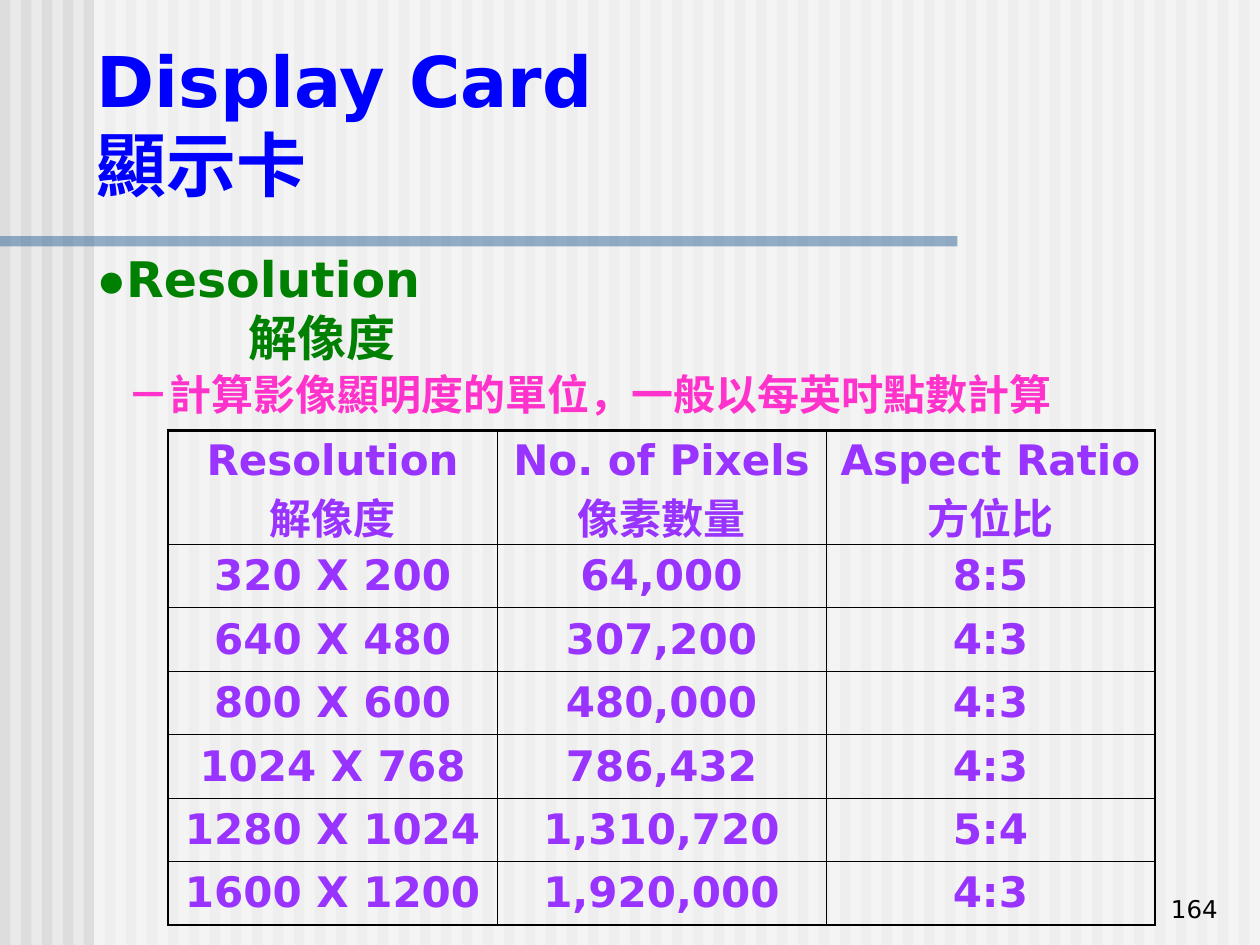
import lxml.etree
import pptx
import pptx.dml.color
import pptx.enum.shapes
import pptx.enum.text
import pptx.oxml.ns
import pptx.util

Cm = pptx.util.Cm
Pt = pptx.util.Pt
ALIGN = pptx.enum.text.PP_ALIGN
ANCHOR = pptx.enum.text.MSO_ANCHOR
qn = pptx.oxml.ns.qn

FONT = "DejaVu Sans"
WIDTH, HEIGHT = 25.4, 19.05
STRIPES = 60
THICK, THIN = 1.47, 0.45

ROWS = [
    ("Resolution\n解像度", "No. of Pixels\n像素數量", "Aspect Ratio\n方位比"),
    ("320 X 200", "64,000", "8:5"),
    ("640 X 480", "307,200", "4:3"),
    ("800 X 600", "480,000", "4:3"),
    ("1024 X 768", "786,432", "4:3"),
    ("1280 X 1024", "1,310,720", "5:4"),
    ("1600 X 1200", "1,920,000", "4:3"),
]


def rgb(value):
    return pptx.dml.color.RGBColor.from_string(value)


def add_bar(s, x, y, w, h, color, alpha=None):
    """Borderless rectangle, alpha in percent."""
    sp = s.shapes.add_shape(pptx.enum.shapes.MSO_SHAPE.RECTANGLE,
                            Cm(x), Cm(y), Cm(w), Cm(h))
    sp.shadow.inherit = False
    sp.line.fill.background()
    sp.fill.solid()
    sp.fill.fore_color.rgb = rgb(color)
    if alpha is not None:
        clr = sp.fill._xPr.find(".//" + qn("a:srgbClr"))
        lxml.etree.SubElement(clr, qn("a:alpha"), val=str(alpha * 1000))


def add_run(p, text, size, color, bold=True, font=FONT):
    """Styled text; a newline becomes a line break."""
    for i, line in enumerate(text.split("\n")):
        if i:
            p.add_line_break()
        r = p.add_run()
        r.text = line
        r.font.name = font
        r.font.size = Pt(size)
        r.font.bold = bold
        r.font.color.rgb = rgb(color)


def add_text_box(s, x, y, w, h, anchor=ANCHOR.TOP):
    tf = s.shapes.add_textbox(Cm(x), Cm(y), Cm(w), Cm(h)).text_frame
    tf.word_wrap = True
    tf.vertical_anchor = anchor
    return tf


def set_border(cell, side, width):
    tc_pr = cell._tc.get_or_add_tcPr()
    ln = lxml.etree.SubElement(tc_pr, qn("a:ln" + side), w=str(Pt(width)))
    fill = lxml.etree.SubElement(ln, qn("a:solidFill"))
    lxml.etree.SubElement(fill, qn("a:srgbClr"), val="000000")


def add_table(s, x, y, col_width, header_height, row_height):
    n_rows, n_cols = len(ROWS), len(ROWS[0])
    height = header_height + row_height * (n_rows - 1)
    table = s.shapes.add_table(n_rows, n_cols, Cm(x), Cm(y),
                               Cm(col_width * n_cols), Cm(height)).table
    table.first_row = table.horz_banding = False
    for col in table.columns:
        col.width = Cm(col_width)
    for i, values in enumerate(ROWS):
        table.rows[i].height = Cm(row_height if i else header_height)
        for j, value in enumerate(values):
            cell = table.cell(i, j)
            cell.vertical_anchor = ANCHOR.MIDDLE
            # Thick outer frame, thin inner grid
            outer = {"L": j == 0, "R": j == n_cols - 1,
                     "T": i == 0, "B": i == n_rows - 1}
            for side, is_outer in outer.items():
                set_border(cell, side, THICK if is_outer else THIN)
            cell.fill.background()
            p = cell.text_frame.paragraphs[0]
            p.alignment = ALIGN.CENTER
            p.space_before = Pt(6)
            add_run(p, value, 24, "9933FF")


def add_background(s):
    s.background.fill.solid()
    s.background.fill.fore_color.rgb = rgb("EAEAEA")
    pitch = WIDTH / STRIPES
    for i in range(STRIPES):
        add_bar(s, i * pitch, 0, pitch / 2, HEIGHT, "DDDDDD")
    # Pale veil over the stripes, then the rule under the title
    add_bar(s, 1.9, 0, WIDTH - 1.9, HEIGHT, "FFFFFF", 50)
    add_bar(s, 0, 4.76, 19.3, 0.21, "336699", 50)


def main():
    prs = pptx.Presentation()
    prs.slide_width, prs.slide_height = Cm(WIDTH), Cm(HEIGHT)
    s = prs.slides.add_slide(prs.slide_layouts[6])
    add_background(s)

    # Title
    tf = add_text_box(s, 1.7, 0.64, 22.22, 1.96)
    add_run(tf.paragraphs[0], "Display Card\n顯示卡", 40, "0000FF")

    # Topic in two languages, the second line indented
    tf = add_text_box(s, 1.7, 4.88, 7.2, 2.64)
    p = tf.paragraphs[0]
    add_run(p, "●", 28, "008000", font="Arial")
    add_run(p, "Resolution", 28, "008000")
    p = tf.add_paragraph()
    p._p.get_or_add_pPr().set("marL", str(Cm(3.07)))
    add_run(p, "解像度", 28, "008000")

    # Definition
    tf = add_text_box(s, 2.33, 7.3, 22.22, 1.28)
    add_run(tf.paragraphs[0], "－計算影像顯明度的單位，一般以每英吋點數計算",
            24, "FF33CC")

    # Resolution table
    add_table(s, 3.39, 8.68, 6.63, 2.29, 1.28)

    # Slide number
    tf = add_text_box(s, 19.5, 17.47, 5.3, 1.27, ANCHOR.BOTTOM)
    tf.paragraphs[0].alignment = ALIGN.RIGHT
    add_run(tf.paragraphs[0], "164", 14, "000000", bold=False)

    prs.save("out.pptx")


if __name__ == "__main__":
    main()
